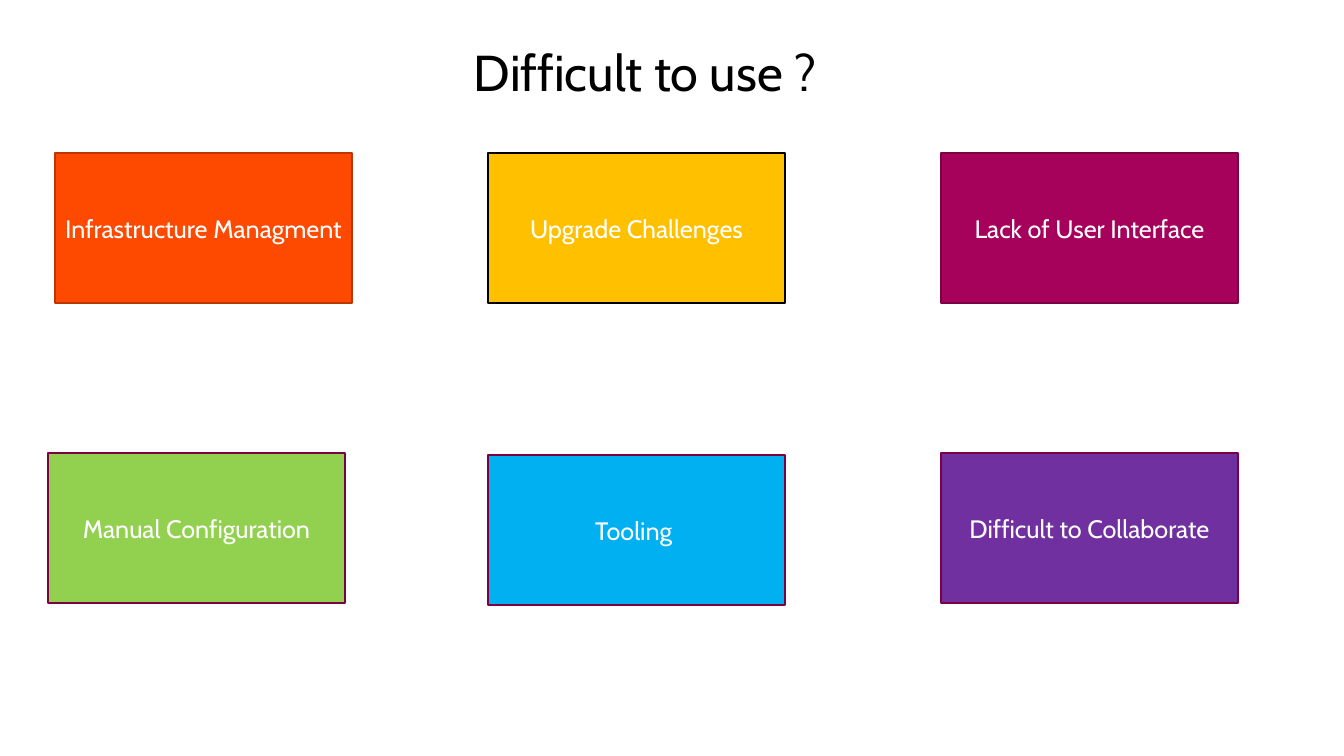
from pptx import Presentation
from pptx.dml.color import RGBColor
from pptx.enum.shapes import MSO_SHAPE
from pptx.enum.text import MSO_ANCHOR, PP_ALIGN
from pptx.util import Emu, Pt

EMU_PER_PX = 914400 / 100.8
FONT = "Cabin"

BLACK = RGBColor(0x00, 0x00, 0x00)
WHITE = RGBColor(0xFF, 0xFF, 0xFF)
ORANGE = RGBColor(0xFE, 0x4A, 0x00)
RUST = RGBColor(0xBC, 0x37, 0x00)
AMBER = RGBColor(0xFF, 0xC0, 0x00)
MAGENTA = RGBColor(0xA6, 0x02, 0x5C)
PLUM = RGBColor(0x7B, 0x01, 0x44)
GREEN = RGBColor(0x92, 0xD0, 0x50)
BLUE = RGBColor(0x00, 0xB0, 0xF0)
PURPLE = RGBColor(0x70, 0x30, 0xA0)

CARD_WIDTH, CARD_HEIGHT = 297, 150

# Left, top, label, fill, outline
CARDS = [
    (55, 153, "Infrastructure Managment", ORANGE, RUST),
    (488, 153, "Upgrade Challenges", AMBER, BLACK),
    (941, 153, "Lack of User Interface", MAGENTA, PLUM),
    (48, 453, "Manual Configuration", GREEN, PLUM),
    (488, 455, "Tooling ", BLUE, PLUM),
    (941, 453, "Difficult to Collaborate", PURPLE, PLUM),
]


def px(length):
    return Emu(round(length * EMU_PER_PX))


def write_text(shape, text, size, color, align):
    frame = shape.text_frame
    frame.word_wrap = True
    frame.text = text
    para = frame.paragraphs[0]
    para.alignment = align
    span = para.runs[0]
    span.font.name = FONT
    span.font.size = Pt(size)
    span.font.color.rgb = color


def add_title(page, text):
    box = page.shapes.add_textbox(px(464), px(36), px(389), px(72))
    write_text(box, text, 36, BLACK, PP_ALIGN.LEFT)


def add_card(page, left, top, label, fill, outline):
    card = page.shapes.add_shape(
        MSO_SHAPE.RECTANGLE, px(left), px(top), px(CARD_WIDTH), px(CARD_HEIGHT))
    card.shadow.inherit = False
    card.fill.solid()
    card.fill.fore_color.rgb = fill
    card.line.color.rgb = outline
    card.line.width = Pt(1)
    card.text_frame.vertical_anchor = MSO_ANCHOR.MIDDLE
    write_text(card, label, 18, WHITE, PP_ALIGN.CENTER)


def main():
    deck = Presentation()
    deck.slide_width, deck.slide_height = px(1344), px(756)
    page = deck.slides.add_slide(deck.slide_layouts[6])

    # Heading
    add_title(page, "Difficult to use ?")

    # Two rows of pain points
    for card in CARDS:
        add_card(page, *card)

    deck.save("out.pptx")


if __name__ == "__main__":
    main()
